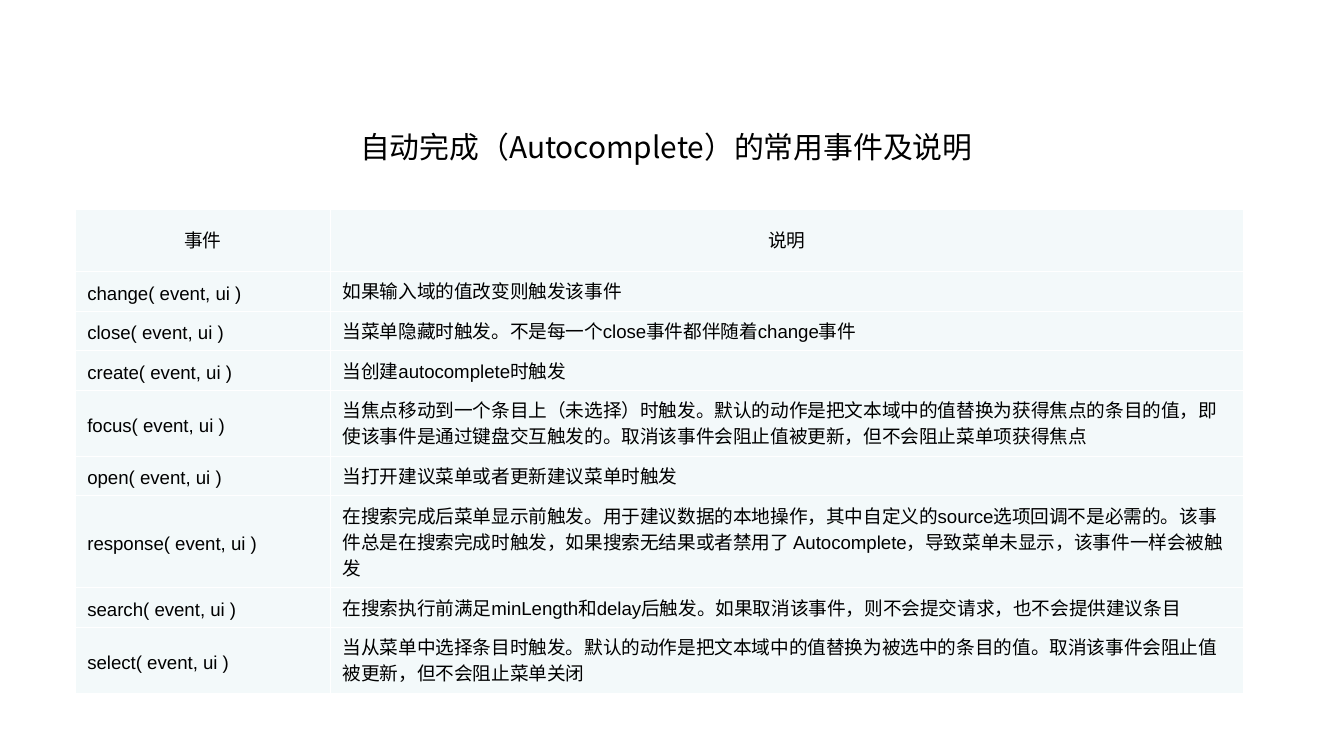
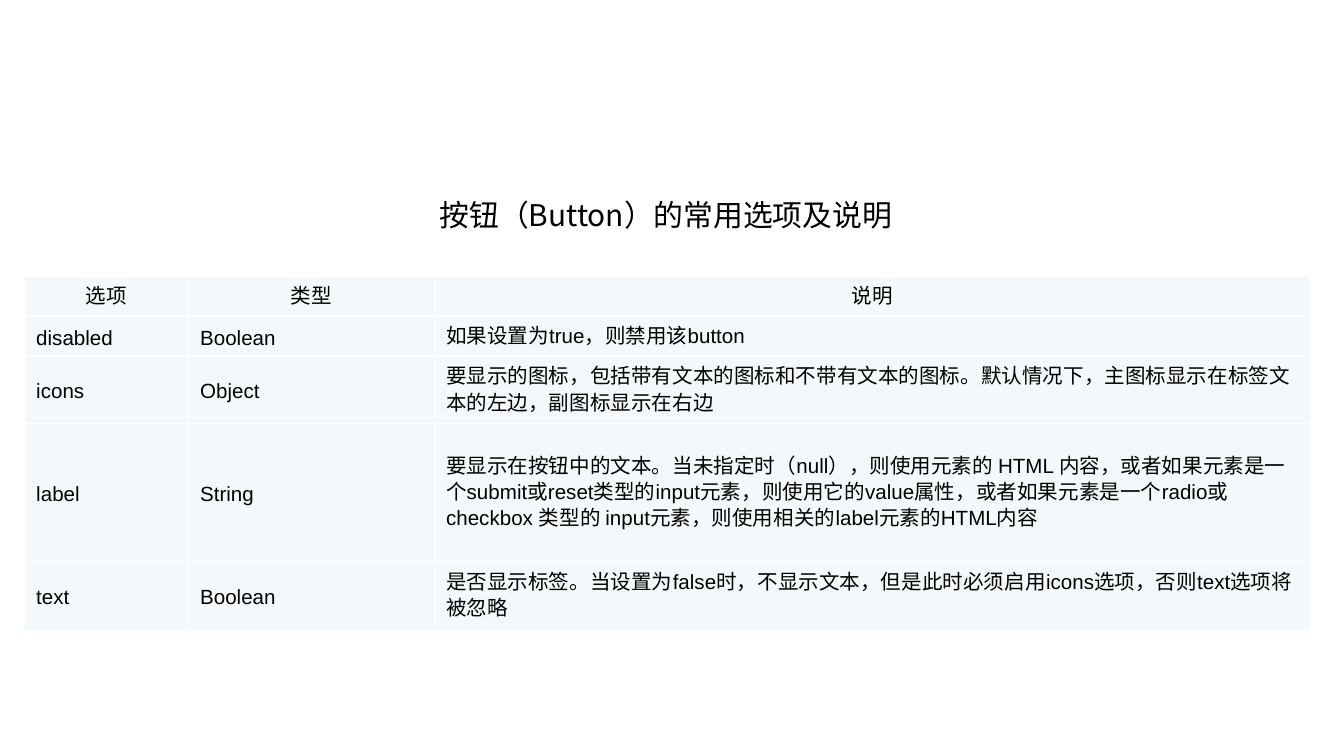
from dataclasses import dataclass

from lxml import etree
from pptx import Presentation
from pptx.dml.color import RGBColor
from pptx.enum import text
from pptx.oxml import ns
from pptx.util import Inches, Pt


@dataclass(frozen=True)
class Theme:
    ink: RGBColor = RGBColor(0x00, 0x00, 0x00)
    cell: RGBColor = RGBColor(0xF3, 0xF9, 0xFA)
    rule: str = "FFFFFF"
    rule_width: float = 0.45
    title_font: str = "Noto Sans CJK SC"
    body_font: str = "Arial"
    title_size: int = 16
    events_size: int = 10
    options_size: int = 11
    body_leading: int = 14


THEME = Theme()
TITLE_HEIGHT = 0.64
TITLE_ONLY = 5
SIDE_MARGIN = 0.09
EDGE_MARGIN = 0.05

EVENTS = [
    ("事件", "说明"),
    ("change( event, ui )", "如果输入域的值改变则触发该事件"),
    ("close( event, ui )", "当菜单隐藏时触发。不是每一个close事件都伴随着change事件"),
    ("create( event, ui )", "当创建autocomplete时触发"),
    ("focus( event, ui )",
     "当焦点移动到一个条目上（未选择）时触发。默认的动作是把文本域中的值替换为获得焦点的条目的值，"
     "即使该事件是通过键盘交互触发的。取消该事件会阻止值被更新，但不会阻止菜单项获得焦点"),
    ("open( event, ui )", "当打开建议菜单或者更新建议菜单时触发"),
    ("response( event, ui )",
     "在搜索完成后菜单显示前触发。用于建议数据的本地操作，其中自定义的source选项回调不是必需的。"
     "该事件总是在搜索完成时触发，如果搜索无结果或者禁用了 Autocomplete，导致菜单未显示，"
     "该事件一样会被触发"),
    ("search( event, ui )",
     "在搜索执行前满足minLength和delay后触发。如果取消该事件，则不会提交请求，也不会提供建议条目"),
    ("select( event, ui )",
     "当从菜单中选择条目时触发。默认的动作是把文本域中的值替换为被选中的条目的值。"
     "取消该事件会阻止值被更新，但不会阻止菜单关闭"),
]

OPTIONS = [
    ("选项", "类型", "说明"),
    ("disabled", "Boolean", "如果设置为true，则禁用该button"),
    ("icons", "Object",
     "要显示的图标，包括带有文本的图标和不带有文本的图标。默认情况下，"
     "主图标显示在标签文本的左边，副图标显示在右边"),
    ("label", "String",
     "要显示在按钮中的文本。当未指定时（null），则使用元素的 HTML 内容，"
     "或者如果元素是一个submit或reset类型的input元素，则使用它的value属性，"
     "或者如果元素是一个radio或checkbox 类型的 input元素，则使用相关的label元素的HTML内容"),
    ("text", "Boolean",
     "是否显示标签。当设置为false时，不显示文本，但是此时必须启用icons选项，否则text选项将被忽略"),
]


def style_font(font, name, size):
    font.name = name
    font.size = Pt(size)
    font.color.rgb = THEME.ink


def add_titled_slide(deck, title, left, top, width):
    slide = deck.slides.add_slide(deck.slide_layouts[TITLE_ONLY])
    heading = slide.shapes.title
    heading.left, heading.top = Inches(left), Inches(top)
    heading.width, heading.height = Inches(width), Inches(TITLE_HEIGHT)
    frame = heading.text_frame
    frame.text = title
    frame.word_wrap = True
    frame.auto_size = text.MSO_AUTO_SIZE.NONE
    frame.vertical_anchor = text.MSO_ANCHOR.TOP
    paragraph = frame.paragraphs[0]
    paragraph.alignment = text.PP_ALIGN.LEFT
    style_font(paragraph.font, THEME.title_font, THEME.title_size)
    return slide


def rule_cell(cell):
    properties = cell._tc.get_or_add_tcPr()
    for side in ("a:lnL", "a:lnR", "a:lnT", "a:lnB"):
        line = etree.SubElement(properties, ns.qn(side), w=str(Pt(THEME.rule_width)))
        fill = etree.SubElement(line, ns.qn("a:solidFill"))
        etree.SubElement(fill, ns.qn("a:srgbClr"), val=THEME.rule)


def fill_cell(cell, wording, size, leading, alignment):
    rule_cell(cell)
    cell.fill.solid()
    cell.fill.fore_color.rgb = THEME.cell
    cell.margin_left = cell.margin_right = Inches(SIDE_MARGIN)
    cell.margin_top = cell.margin_bottom = Inches(EDGE_MARGIN)
    cell.vertical_anchor = text.MSO_ANCHOR.MIDDLE
    cell.text = wording
    paragraph = cell.text_frame.paragraphs[0]
    paragraph.alignment = alignment
    paragraph.line_spacing = Pt(leading)
    style_font(paragraph.font, THEME.body_font, size)


def add_reference_table(slide, entries, left, top, widths, heights, size, header_leading):
    table = slide.shapes.add_table(
        len(entries), len(widths), Inches(left), Inches(top),
        Inches(sum(widths)), Inches(sum(heights))).table
    for column, width in zip(table.columns, widths):
        column.width = Inches(width)
    for index, (row, height, entry) in enumerate(zip(table.rows, heights, entries)):
        row.height = Inches(height)
        is_header = index == 0
        leading = header_leading if is_header else THEME.body_leading
        alignment = text.PP_ALIGN.CENTER if is_header else text.PP_ALIGN.LEFT
        for cell, wording in zip(row.cells, entry):
            fill_cell(cell, wording, size, leading, alignment)


def main():
    deck = Presentation()
    deck.slide_width = Inches(10)
    deck.slide_height = Inches(10 * 9 / 16)

    events = add_titled_slide(
        deck, "自动完成（Autocomplete）的常用事件及说明", 2.58, 0.91, 4.92)
    add_reference_table(
        events, EVENTS, 0.56, 1.56, widths=(1.9, 6.79),
        heights=(0.46, 0.22, 0.22, 0.22, 0.44, 0.22, 0.65, 0.22, 0.44),
        size=THEME.events_size, header_leading=13)

    options = add_titled_slide(
        deck, "按钮（Button）的常用选项及说明", 3.17, 1.41, 3.75)
    add_reference_table(
        options, OPTIONS, 0.18, 2.06, widths=(1.22, 1.83, 6.52),
        heights=(0.23, 0.24, 0.5, 1.03, 0.5),
        size=THEME.options_size, header_leading=14)

    deck.save("out.pptx")


if __name__ == "__main__":
    main()
